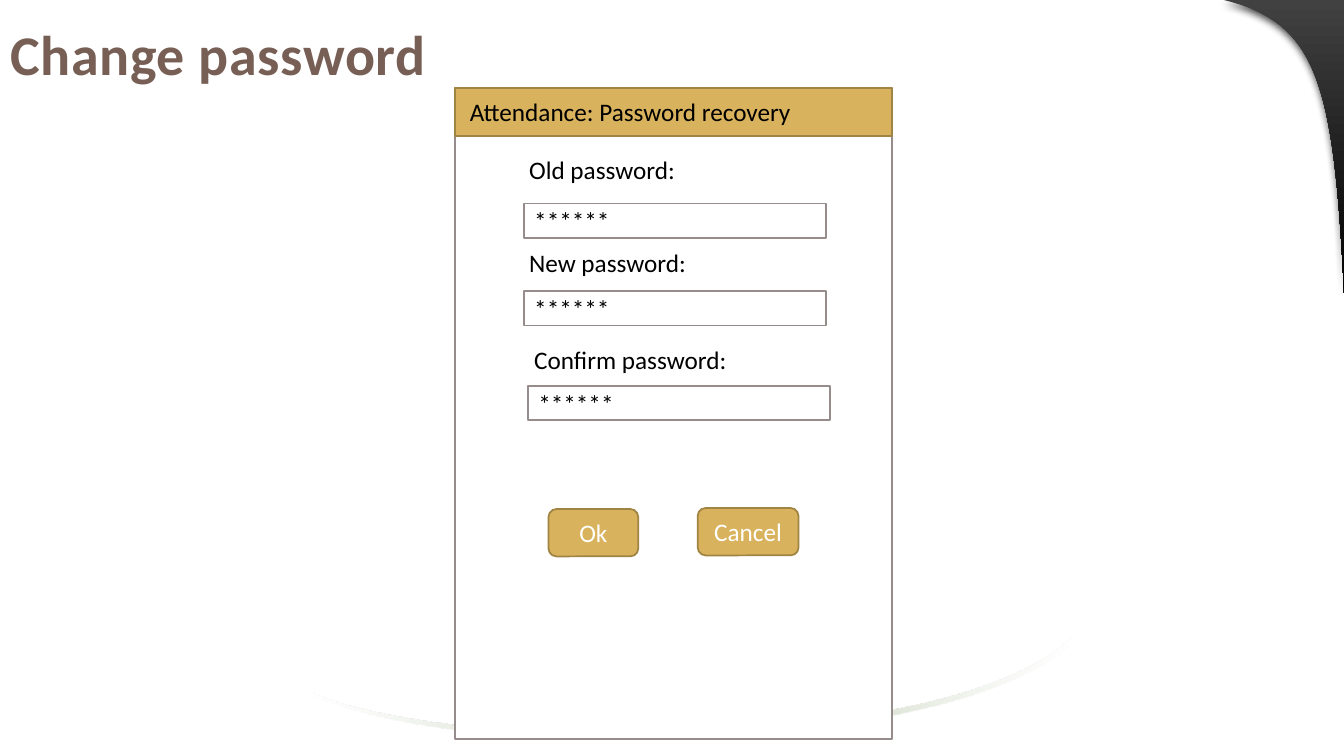
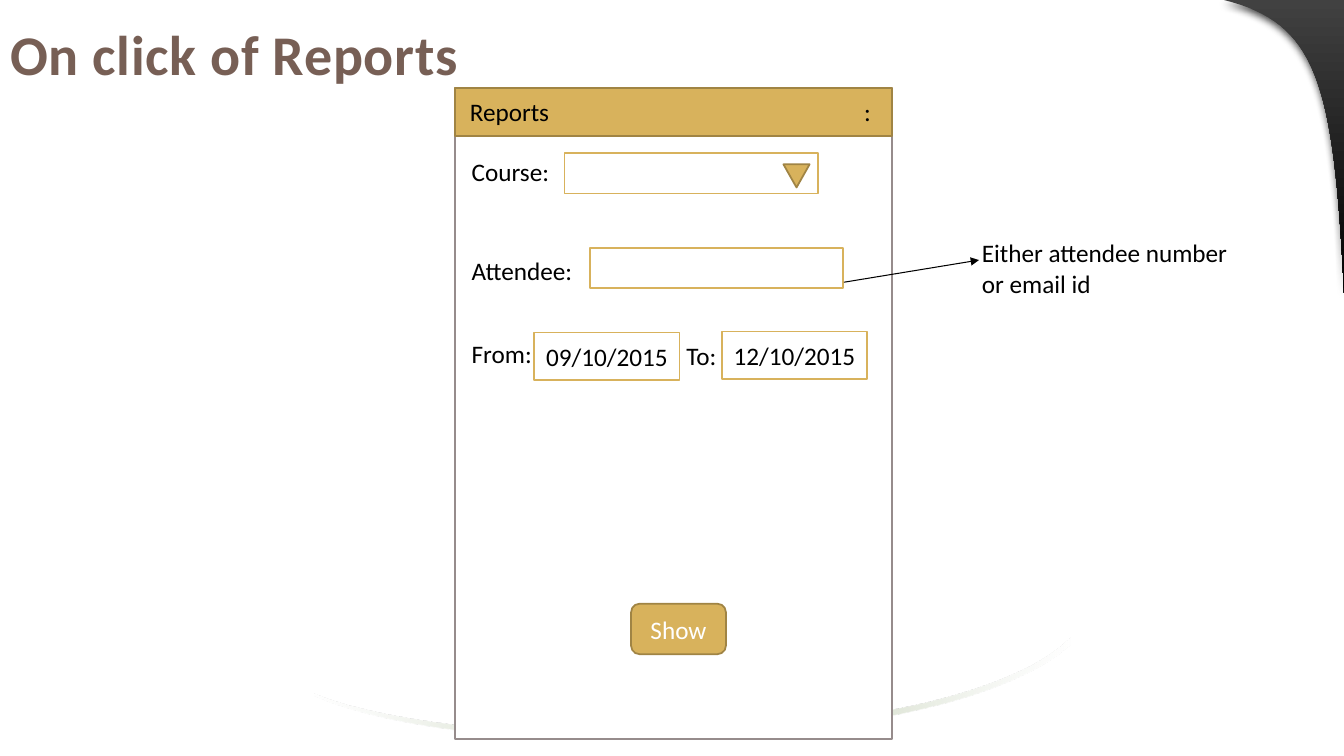
from dataclasses import dataclass

from pptx import Presentation, util as u
from pptx.dml.color import RGBColor
from pptx.enum import shapes, text
from pptx.oxml import parse_xml
from pptx.oxml.ns import nsdecls, qn

KIND = shapes.MSO_SHAPE
LEFT, MID = text.PP_ALIGN.LEFT, text.PP_ALIGN.CENTER


# Colours, type and line sizes
@dataclass(frozen=True)
class Theme:
    font: str = "Calibri"
    head: int = 40
    body: int = 18
    line: float = 1.25
    thin: float = 0.75
    brown: str = "775F55"
    gold: str = "D8B25C"
    rim: str = "A08444"
    grey: str = "968C8C"
    sage: str = "9CB084"
    coal: str = "414141"
    white: str = "FFFFFF"
    black: str = "000000"


def rgb(code):
    return RGBColor.from_string(code)


def node(tag, body="", attrs=""):
    return parse_xml(f'<a:{tag} {nsdecls("a")} {attrs}>{body}</a:{tag}>')


def shade(blur, dist, angle, alpha):
    """An outer shadow in black; lengths in points, alpha in percent."""
    return node("effectLst", (
        f'<a:outerShdw blurRad="{u.Pt(blur)}" dist="{u.Pt(dist)}" dir="{angle * 60000}">'
        f'<a:srgbClr val="000000"><a:alpha val="{alpha * 1000}"/></a:srgbClr></a:outerShdw>'))


def fade(stops, angle):
    """A linear gradient from (place, colour, opacity) stops."""
    marks = "".join(
        f'<a:gs pos="{at * 1000}"><a:srgbClr val="{tint}">'
        f'<a:alpha val="{alpha * 1000}"/></a:srgbClr></a:gs>'
        for at, tint, alpha in stops)
    return node("gradFill", f'<a:gsLst>{marks}</a:gsLst>'
                            f'<a:lin ang="{angle * 60000}" scaled="0"/>')


def curve(*ctrl, steps=32):
    """Points along a cubic curve with four control points."""
    for i in range(steps + 1):
        t = i / steps
        parts = ((1 - t) ** 3, 3 * t * (1 - t) ** 2, 3 * t * t * (1 - t), t ** 3)
        yield tuple(sum(k * c[axis] for k, c in zip(parts, ctrl)) for axis in (0, 1))


class Deck:
    def __init__(self, theme):
        self.look = theme
        self.file = Presentation()
        self.file.slide_width = u.Inches(13.33)
        self.file.slide_height = u.Inches(7.5)
        self.base = self.file.slide_layouts[5]
        self.page = None

    # Text
    def letter(self, shape, words, align=LEFT, anchor=text.MSO_ANCHOR.MIDDLE,
               inset=0.1, **style):
        frame = shape.text_frame
        frame.text = words
        form = dict(word_wrap=True, auto_size=text.MSO_AUTO_SIZE.NONE,
                    vertical_anchor=anchor, margin_left=u.Inches(inset))
        for key, val in form.items():
            setattr(frame, key, val)
        para = frame.paragraphs[0]
        para.alignment = align
        font = para.runs[0].font
        look = dict(name=self.look.font, size=u.Pt(self.look.body), bold=False)
        tint = style.pop("tint", self.look.black)
        for key, val in {**look, **style}.items():
            setattr(font, key, val)
        font.color.rgb = rgb(tint)

    def place(self, shape, box):
        for key, val in zip(("left", "top", "width", "height"), box):
            setattr(shape, key, u.Inches(val))

    def slide(self, title):
        self.page = self.file.slides.add_slide(self.base)
        head = self.page.shapes.title
        self.place(head, (0, 0, 11.32, 1.06))
        self.letter(head, title, size=u.Pt(self.look.head), bold=True,
                    tint=self.look.brown)
        run = next(head.element.iter(qn("a:rPr")))
        run.set("spc", "50")
        run.insert(1, shade(3, 2, 45, 60))

    def label(self, words, *box, **form):
        item = self.page.shapes.add_textbox(*map(u.Inches, box))
        self.letter(item, words, **form)

    # Shapes
    def shape(self, kind, box, fill, line, words="", **form):
        item = self.page.shapes.add_shape(kind, *map(u.Inches, box))
        item.shadow.inherit = False
        item.fill.solid()
        item.fill.fore_color.rgb = rgb(fill)
        item.line.color.rgb = rgb(line)
        item.line.width = u.Pt(self.look.line)
        if words:
            self.letter(item, words, **form)
        return item

    def field(self, *box, words="", line=None, align=LEFT):
        self.shape(KIND.RECTANGLE, box, self.look.white, line or self.look.gold,
                   words, align=align)

    def button(self, words, *box):
        self.shape(KIND.ROUNDED_RECTANGLE, box, self.look.gold, self.look.rim,
                   words, align=MID, tint=self.look.white)

    def panel(self, words):
        look = self.look
        self.shape(KIND.RECTANGLE, (4.51, 0.87, 4.34, 6.46), look.white, look.grey)
        bar = self.shape(KIND.RECTANGLE, (4.51, 0.87, 4.34, 0.48), look.gold,
                         look.rim, words, inset=0.15)
        # A stop for the menu mark at the right end
        stop = f'<a:tab pos="{u.Inches(3.91)}" algn="l"/>'
        next(bar.element.iter(qn("a:pPr"))).append(node("tabLst", stop))

    def arrow(self, *ends):
        line = self.page.shapes.add_connector(
            shapes.MSO_CONNECTOR.STRAIGHT, *map(u.Inches, ends))
        line.line.color.rgb = rgb(self.look.black)
        line.line.width = u.Pt(self.look.thin)
        props = line.element.spPr
        props.find(qn("a:ln")).append(node("tailEnd", attrs='type="triangle"'))
        props.append(node("effectLst"))

    # Backdrop, kept on the layout
    def sweep(self, dots, paint, glow, mark):
        dots = [tuple(map(u.Inches, dot)) for dot in dots]
        pen = self.page.shapes.build_freeform(*dots[0])
        pen.add_line_segments(dots[1:], close=True)
        item = pen.convert_to_shape()
        item.line.fill.background()
        props = item.element.spPr
        props.insert(2, paint)
        props.append(glow)
        item.element.nvSpPr.cNvPr.set("id", str(mark))
        self.base.shapes.element.insert(2, item.element)

    def scene(self):
        look = self.look
        arc = [*curve((10.62, 6.4), (9.45, 7.46), (4.7, 7.6), (3.12, 6.9)),
               *curve((3.12, 6.88), (4.72, 7.52), (9.55, 7.4), (10.62, 6.33))]
        self.sweep(arc, fade([(0, look.white, 30), (50, look.sage, 100),
                              (100, look.white, 30)], 0), node("effectLst"), 20)
        bend = [*curve((12.14, 0), (13.05, 0.23), (13.23, 0.78), (13.33, 2.91)),
                (13.33, 0)]
        self.sweep(bend, fade([(0, look.coal, 100), (100, look.black, 100)], 90),
                   shade(6, 3, 90, 75), 21)


def change(deck):
    deck.slide("Change password")
    deck.scene()
    deck.panel("Attendance: Password recovery")
    rows = (("Old password:", 5.15, 1.41, 5.2, 2.02),
            ("New password:", 5.15, 2.33, 5.2, 2.89),
            ("Confirm password:", 5.2, 3.29, 5.24, 3.83))
    for words, x, y, left, top in rows:
        deck.label(words, x, y, 3.44, 0.55)
        deck.field(left, top, 2.99, 0.34, words="******", line=deck.look.grey)
    deck.button("Ok", 5.44, 5.05, 0.89, 0.47)
    deck.button("Cancel", 6.92, 5.04, 1, 0.47)


def report(deck):
    deck.slide("On click of Reports")
    deck.panel("Reports\t:")
    # Course and attendee
    deck.label("Course:", 4.58, 1.53, 2.15, 0.34)
    deck.label("Attendee:", 4.58, 2.48, 1.29, 0.4)
    deck.field(5.6, 1.52, 2.51, 0.4)
    deck.field(5.85, 2.46, 2.51, 0.4)
    drop = deck.shape(KIND.ISOSCELES_TRIANGLE, (7.77, 1.63, 0.26, 0.23),
                      deck.look.gold, deck.look.rim)
    drop.rotation = 180
    # Dates
    days = (("From:", 4.58, 3.24, "09/10/2015", 5.3, 3.3),
            ("To:", 6.71, 3.26, "12/10/2015", 7.16, 3.29))
    for words, x, y, day, left, top in days:
        deck.label(words, x, y, 0.95, 0.54)
        deck.field(left, top, 1.44, 0.47, words=day, align=MID)
    deck.button("Show", 6.26, 5.99, 0.94, 0.5)
    # Note on the attendee field
    deck.arrow(8.37, 2.8, 9.71, 2.58)
    deck.label("Either attendee number or email id", 9.64, 2.31, 2.66, 0.71,
               anchor=text.MSO_ANCHOR.TOP)


def main():
    deck = Deck(Theme())
    change(deck)
    report(deck)
    deck.file.save("out.pptx")


if __name__ == "__main__":
    main()
